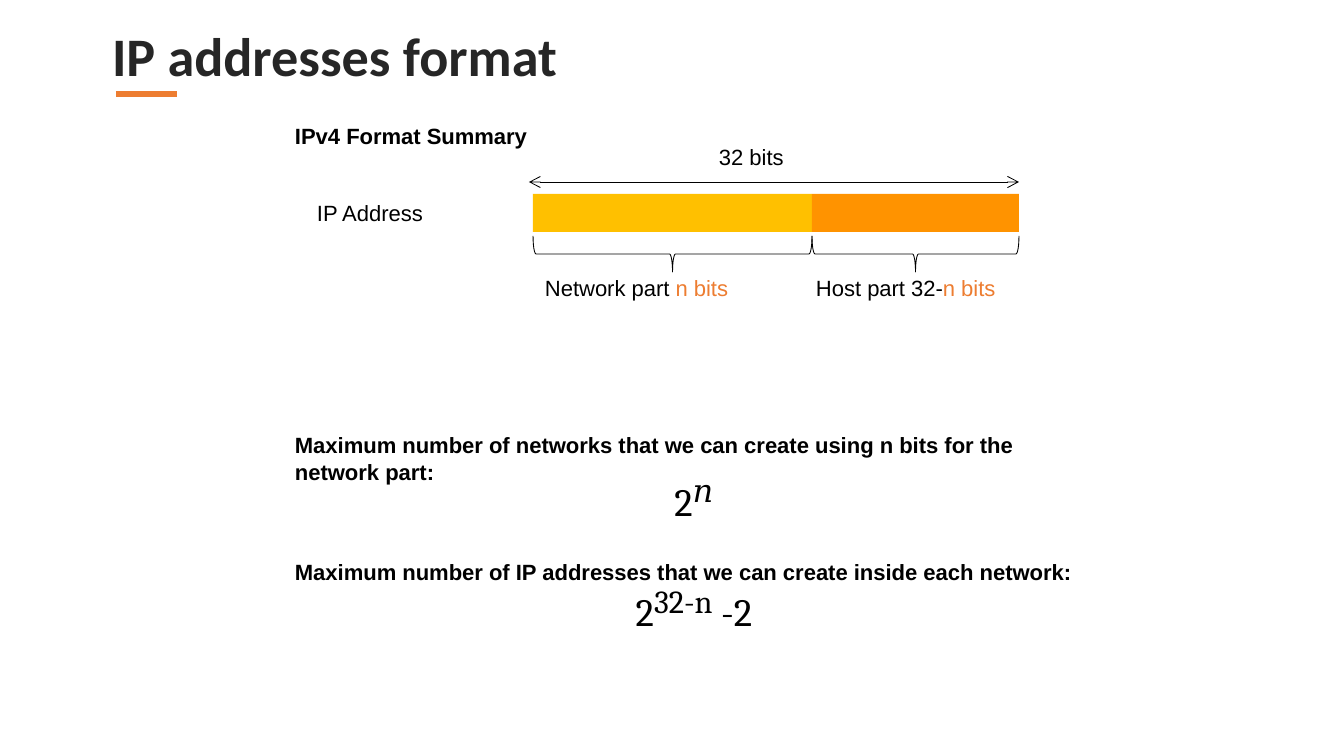
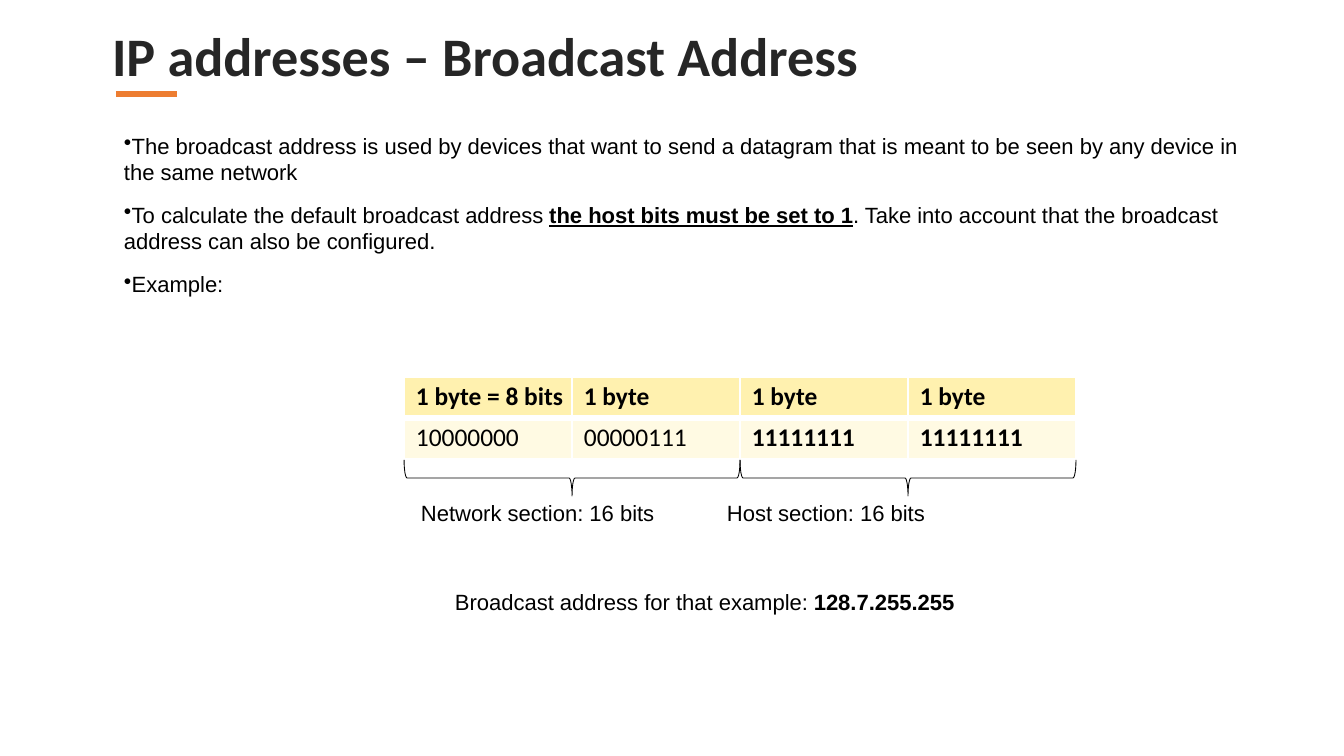
import pptx
import pptx.util
import pptx.dml.color
import pptx.enum.shapes
import pptx.enum.text
import pptx.oxml.ns
from dataclasses import dataclass
from lxml import etree

SHAPE = pptx.enum.shapes.MSO_SHAPE
ALIGN = pptx.enum.text.PP_ALIGN
Pt = pptx.util.Pt
PX_PER_INCH = 122


@dataclass(frozen=True)
class Theme:
    title: str = "262626"
    text: str = "000000"
    accent: str = "ED7D31"
    white: str = "FFFFFF"
    network: str = "FFC000"
    host: str = "FF9300"
    header_row: str = "FFF1AF"
    value_row: str = "FFFAE3"
    title_font: str = "Calibri"
    body_font: str = "Arial"
    math_font: str = "Cambria"
    title_size: int = 32
    body_size: int = 13
    table_size: int = 15
    formula_size: float = 39.5
    exponent_size: int = 19


THEME = Theme()

BOLD = {"bold": True}
ACCENT = {"color": THEME.accent}
STRESSED = {"bold": True, "underline": True}
BASE = {"size": THEME.formula_size, "baseline": -20}

# A paragraph is a list of runs: (text, run style).
FORMAT_TITLE = "IP addresses format"
FORMAT_LABELS = [  # left, top, runs
    (295, 122, [("IPv4 Format Summary", BOLD)]),
    (719, 143, [("32 bits", {})]),
    (317, 199, [("IP Address", {})]),
    (545, 274, [("Network part ", {}), ("n bits", ACCENT)]),
    (816, 274, [("Host part 32-", {}), ("n bits", ACCENT)]),
]
ADDRESS_PARTS = [(533, 812, THEME.network), (812, 1019, THEME.host)]
FORMULAS = [  # statement, formula runs, formula line height in points
    ("Maximum number of networks that we can create using n bits for the network part:",
     [("2", BASE), ("𝑛", {})], 23.1),
    ("Maximum number of IP addresses that we can create inside each network:",
     [("2", BASE), ("32-n", {}), (" -2", BASE)], 29.5),
]

BROADCAST_TITLE = "IP addresses – Broadcast Address"
BROADCAST_POINTS = [
    [("The broadcast address is used by devices that want to send a datagram that is "
      "meant to be seen by any device in the same network", {})],
    [("To calculate the default broadcast address ", {}),
     ("the host bits must be set to 1", STRESSED),
     (". Take into account that the broadcast address can also be configured.", {})],
    [("Example:", {})],
]
BYTE_ROWS = [  # texts, bold columns, fill
    (["1 byte = 8 bits", "1 byte", "1 byte", "1 byte"], {0, 1, 2, 3}, THEME.header_row),
    (["10000000", "00000111", "11111111", "11111111"], {2, 3}, THEME.value_row),
]
BROADCAST_LABELS = [
    (421, 499, [("Network section: 16 bits", {})]),
    (727, 499, [("Host section: 16 bits", {})]),
    (455, 588, [("Broadcast address for that example: ", {}), ("128.7.255.255", BOLD)]),
]


def px(length):
    return pptx.util.Emu(round(length * 914400 / PX_PER_INCH))


def rgb(code):
    return pptx.dml.color.RGBColor.from_string(code)


def add_xml(parent, tag, **attributes):
    return etree.SubElement(parent, pptx.oxml.ns.qn(tag), attributes)


def write(paragraph, runs, font=THEME.body_font, size=THEME.body_size,
          color=THEME.text, bold=False):
    paragraph.font.name = font
    paragraph.font.size = Pt(size)
    paragraph.font.bold = bold
    paragraph.font.color.rgb = rgb(color)
    for text, style in runs:
        run = paragraph.add_run()
        run.text = text
        if "size" in style:
            run.font.size = Pt(style["size"])
        if "color" in style:
            run.font.color.rgb = rgb(style["color"])
        if "bold" in style:
            run.font.bold = style["bold"]
        if "underline" in style:
            run.font.underline = style["underline"]
        if "baseline" in style:
            run.font._element.set("baseline", str(style["baseline"] * 1000))


def add_text_frame(slide, left, top, width, height):
    frame = slide.shapes.add_textbox(px(left), px(top), px(width), px(height)).text_frame
    frame.word_wrap = True
    frame.margin_left = frame.margin_right = frame.margin_top = frame.margin_bottom = 0
    return frame


def paragraphs(frame):
    """Yield the first paragraph of a frame, then new ones without end."""
    yield frame.paragraphs[0]
    while True:
        yield frame.add_paragraph()


def add_labels(slide, labels):
    for left, top, runs in labels:
        frame = add_text_frame(slide, left, top, 600, 28)
        frame.word_wrap = False
        write(frame.paragraphs[0], runs)


def add_line(slide, left, right, y, color, weight):
    line = slide.shapes.add_connector(
        pptx.enum.shapes.MSO_CONNECTOR.STRAIGHT, px(left), px(y), px(right), px(y))
    line.line.color.rgb = rgb(color)
    line.line.width = Pt(weight)
    add_xml(line._element.spPr, "a:effectLst")
    return line


def add_brace(slide, left, right, top, depth=36):
    """Draw a brace that opens upwards over left to right."""
    span = right - left
    brace = slide.shapes.add_shape(
        SHAPE.RIGHT_BRACE, px((left + right - depth) / 2), px(top + (depth - span) / 2),
        px(depth), px(span))
    brace.rotation = 90
    brace.shadow.inherit = False
    brace.fill.background()
    brace.line.color.rgb = rgb(THEME.text)
    brace.line.width = Pt(0.5)


def add_titled_slide(deck, title):
    slide = deck.slides.add_slide(deck.slide_layouts[6])
    add_line(slide, 116, 177, 94, THEME.accent, 3)
    frame = add_text_frame(slide, 112, 7, 1160, 104)
    frame.vertical_anchor = pptx.enum.text.MSO_ANCHOR.MIDDLE
    frame.paragraphs[0].line_spacing = 0.9
    write(frame.paragraphs[0], [(title, {})], THEME.title_font, THEME.title_size,
          THEME.title, bold=True)
    return slide


def add_address_bar(slide, top=194, height=38):
    for left, right, color in ADDRESS_PARTS:
        part = slide.shapes.add_shape(
            SHAPE.RECTANGLE, px(left), px(top), px(right - left), px(height))
        part.shadow.inherit = False
        part.fill.solid()
        part.fill.fore_color.rgb = rgb(color)
        part.line.fill.background()
        add_brace(slide, left, right, top + height + 4)
    extent = add_line(slide, 529, 1019, 182, THEME.text, 0.5)
    outline = extent.line._get_or_add_ln()
    for end in ("a:headEnd", "a:tailEnd"):
        add_xml(outline, end, type="arrow")


def add_formulas(slide):
    lines = paragraphs(add_text_frame(slide, 295, 432, 798, 210))
    for index, (statement, formula, line_height) in enumerate(FORMULAS):
        heading = next(lines)
        if index:
            heading.space_before = Pt(20.1)
            heading.line_spacing = Pt(15.7)
        write(heading, [(statement, {})], bold=True)
        expression = next(lines)
        expression.alignment = ALIGN.CENTER
        expression.line_spacing = Pt(line_height)
        write(expression, formula, THEME.math_font, THEME.exponent_size)


def add_points(slide):
    lines = paragraphs(add_text_frame(slide, 124, 132, 1117, 170))
    for runs, point in zip(BROADCAST_POINTS, lines):
        point.space_before = Pt(9.7)
        properties = point._p.get_or_add_pPr()
        properties.set("marL", "0")
        properties.set("indent", "0")
        add_xml(properties, "a:buChar", char="•")
        write(point, runs)


def add_cell_borders(cell, thick_side):
    for side in ("a:lnL", "a:lnR", "a:lnT", "a:lnB"):
        weight = Pt(4.25 if side == thick_side else 1.5)
        border = add_xml(cell._tc.get_or_add_tcPr(), side, w=str(weight))
        add_xml(add_xml(border, "a:solidFill"), "a:srgbClr", val=THEME.white)


def add_byte_table(slide, left=404, top=377, column=168, row_height=41):
    columns = len(BYTE_ROWS[0][0])
    table = slide.shapes.add_table(
        len(BYTE_ROWS), columns, px(left), px(top), px(column * columns),
        px(row_height * len(BYTE_ROWS))).table
    table.first_row = table.horz_banding = False
    for row, (texts, bold_columns, color) in enumerate(BYTE_ROWS):
        table.rows[row].height = px(row_height)
        for index, text in enumerate(texts):
            cell = table.cell(row, index)
            cell.margin_left, cell.margin_top = px(12), px(4)
            cell.margin_right = cell.margin_bottom = 0
            add_cell_borders(cell, "a:lnT" if row else "a:lnB")
            cell.fill.solid()
            cell.fill.fore_color.rgb = rgb(color)
            write(cell.text_frame.paragraphs[0], [(text, {})], THEME.title_font,
                  THEME.table_size, bold=index in bold_columns)
    section = column * columns // 2
    for start in (left, left + section):
        add_brace(slide, start, start + section, top + row_height * len(BYTE_ROWS) + 1)


def main():
    deck = pptx.Presentation()
    deck.slide_width, deck.slide_height = px(1344), px(756)

    format_slide = add_titled_slide(deck, FORMAT_TITLE)
    add_address_bar(format_slide)
    add_labels(format_slide, FORMAT_LABELS)
    add_formulas(format_slide)

    broadcast_slide = add_titled_slide(deck, BROADCAST_TITLE)
    add_points(broadcast_slide)
    add_byte_table(broadcast_slide)
    add_labels(broadcast_slide, BROADCAST_LABELS)

    deck.save("out.pptx")


if __name__ == "__main__":
    main()
